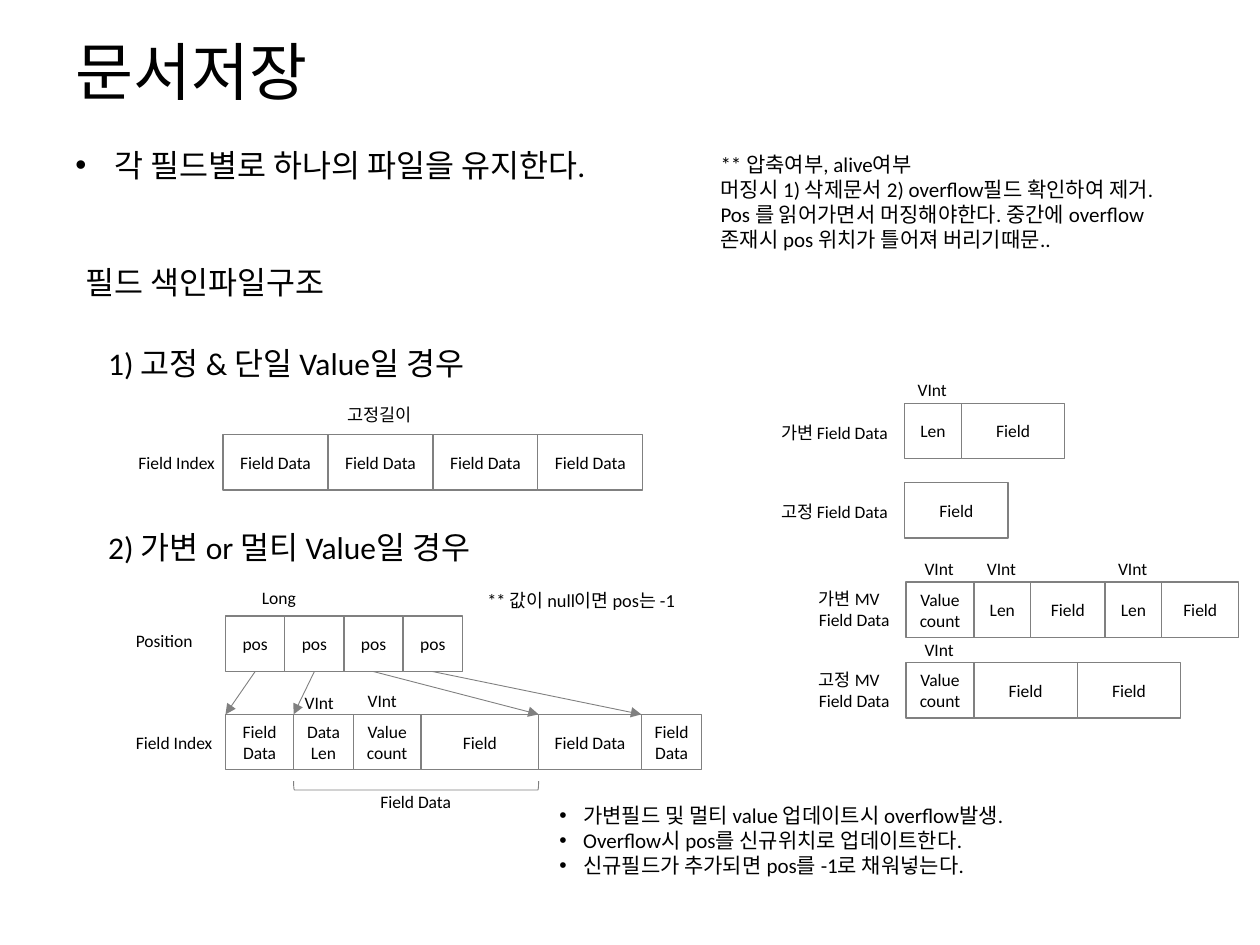
from itertools import accumulate

from lxml import etree
from pptx import Presentation
from pptx.dml.color import RGBColor
from pptx.enum.shapes import MSO_CONNECTOR, MSO_SHAPE
from pptx.enum.text import MSO_ANCHOR, MSO_AUTO_SIZE, PP_ALIGN
from pptx.oxml.ns import qn
from pptx.util import Inches, Pt

RECTANGLE, BRACKET = MSO_SHAPE.RECTANGLE, MSO_SHAPE.RIGHT_BRACKET
STRAIGHT = MSO_CONNECTOR.STRAIGHT
MIDDLE, LEFT, CENTER = MSO_ANCHOR.MIDDLE, PP_ALIGN.LEFT, PP_ALIGN.CENTER
GROW = MSO_AUTO_SIZE.SHAPE_TO_FIT_TEXT
FONT, BLACK, WHITE, GRAY = "Calibri", "000000", "FFFFFF", "808080"
COLUMNS, ROWS = 100, 75
CELL_HEIGHT, LABEL_HEIGHT = 4.4, 2.7


def color(value):
    """Turn a hex string into a colour."""
    return RGBColor.from_string(value)


def grid(*cells):
    """Turn grid columns or rows, a tenth of an inch each, into lengths."""
    return [Inches(cell / 10) for cell in cells]


def write(frame, lines, size, align=LEFT, indent=0):
    """Fill a frame with one paragraph a line; an indent brings bullets."""
    for number, line in enumerate(lines):
        para = frame.add_paragraph() if number else frame.paragraphs[0]
        para.text = line
        para.alignment = align
        para.font.name, para.font.size = FONT, Pt(size)
        para.font.color.rgb = color(BLACK)
        if indent:
            properties = para._p.get_or_add_pPr()
            properties.set("marL", str(Inches(indent)))
            properties.set("indent", str(-Inches(indent)))
            etree.SubElement(properties, qn("a:buFont")).set("typeface", "Arial")
            etree.SubElement(properties, qn("a:buChar")).set("char", "•")


def text(page, box, lines, size=10, wrap=False, indent=0):
    """Place a text box that grows with its lines."""
    frame = page.shapes.add_textbox(*grid(*box)).text_frame
    frame.word_wrap = wrap
    frame.auto_size = GROW
    write(frame, lines, size, indent=indent)
    return frame


def label(page, left, top, words, width=8):
    """Place a small one-line label."""
    text(page, (left, top, width, LABEL_HEIGHT), [words])


def cell_row(page, left, top, cells):
    """Draw touching cells of (words, width) and return their edges."""
    edges = list(accumulate((width for _, width in cells), initial=left))
    for edge, (words, width) in zip(edges, cells):
        cell = page.shapes.add_shape(RECTANGLE, *grid(edge, top, width, CELL_HEIGHT))
        cell.shadow.inherit = False
        cell.fill.solid()
        cell.fill.fore_color.rgb = color(WHITE)
        cell.line.color.rgb, cell.line.width = color(GRAY), Pt(0.75)
        frame = cell.text_frame
        frame.word_wrap, frame.vertical_anchor = True, MIDDLE
        frame.margin_left = frame.margin_right = Inches(0.02)
        write(frame, words.split("\n"), 10, CENTER)
    return edges


def arrow(page, start, end):
    """Draw a thin arrow between two grid points."""
    line = page.shapes.add_connector(STRAIGHT, *grid(*start, *end))
    line.line.color.rgb, line.line.width = color(GRAY), Pt(0.5)
    etree.SubElement(line.line._get_or_add_ln(), qn("a:tailEnd")).set("type", "triangle")
    etree.SubElement(line._element.spPr, qn("a:effectLst"))


def span_bracket(page, left, right, top):
    """Draw a bracket that opens upward from left to right."""
    depth, length = 0.7, right - left
    box = ((left + right - depth) / 2, top + (depth - length) / 2, depth, length)
    bracket = page.shapes.add_shape(BRACKET, *grid(*box))
    bracket.rotation = 90
    bracket.shadow.inherit = False
    bracket.fill.background()
    bracket.line.color.rgb, bracket.line.width = color(GRAY), Pt(0.5)


def headings(page):
    """Place the title, the opening statement and the section name."""
    title = text(page, (5, 3, 90, 5.1), ["문서저장"], 36, wrap=True)
    title.auto_size = MSO_AUTO_SIZE.NONE
    title.vertical_anchor = MIDDLE
    text(page, (5, 11.1, 46, 4), ["각 필드별로 하나의 파일을 유지한다."], 18, indent=0.31)
    text(page, (5.8, 20.4, 22.8, 4), ["필드 색인파일구조"], 18)


def notes(page):
    """Place the merge remarks and the overflow rules."""
    text(page, (56.2, 11.5, 38.8, 9.1), [
        "** 압축여부, alive여부",
        "머징시 1) 삭제문서 2) overflow필드 확인하여 제거.",
        "Pos 를 읽어가면서 머징해야한다. 중간에 overflow존재시 pos 위치가 틀어져 버리기때문..",
    ], 12, wrap=True)
    text(page, (43.4, 63.2, 53.9, 7.1), [
        "가변필드 및 멀티 value 업데이트시 overflow발생.",
        "Overflow시 pos를 신규위치로 업데이트한다.",
        "신규필드가 추가되면 pos를 -1로 채워넣는다.",
    ], 12, wrap=True, indent=0.19)


def fixed_index(page, left, top):
    """Draw the index of fixed-length single values."""
    text(page, (left, top, 32, 4), ["1) 고정 & 단일 Value일 경우"], 18, wrap=True)
    label(page, left + 19, top + 4.8, "고정길이", 7.6)
    label(page, left + 2.4, top + 8.6, "Field Index", 8.2)
    cell_row(page, left + 10.1, top + 7.7, [("Field Data", 8.33)] * 4)


def variable_index(page, left, top):
    """Draw positions that point into variable or multiple values."""
    text(page, (left, top, 32.5, 4), ["2) 가변 or 멀티 Value일 경우"], 18, wrap=True)
    text(page, (left + 30.1, top + 4.9, 17.7, 2.8), ["** 값이 null이면 pos는 -1"], 10.5, wrap=True)
    position_top, field_top = top + 7.5, top + 15.3
    positions = cell_row(page, left + 10.3, position_top, [("pos", 4.7)] * 4)
    fields = cell_row(page, left + 10.3, field_top, [
        ("Field Data", 5.4), ("Data\nLen", 4.75), ("Value count", 5.35),
        ("Field", 9.35), ("Field Data", 8.15), ("Field Data", 4.8)])
    for column, row, words, width in (
            (12.2, 4.7, "Long", 4.8), (2.2, 8.1, "Position", 6.6),
            (2.2, 16.2, "Field Index", 8.2), (15.6, 13, "VInt", 4.4),
            (20.6, 12.9, "VInt", 4.4), (21.6, 20.9, "Field Data", 7.7)):
        label(page, left + column, top + row, words, width)
    for position, field in zip(positions, (0, 1, 4, 5)):
        arrow(page, (position + 2.35, position_top + CELL_HEIGHT), (fields[field], field_top))
    span_bracket(page, fields[1], fields[4], top + 20.6)


def record(page, left, top, name, cells, vint_cells=(), multiple=False):
    """Draw one record layout with its name and its VInt marks."""
    if multiple:
        text(page, (left - 7.9, top, 8.5, CELL_HEIGHT), [name], wrap=True)
    else:
        label(page, left - 10.8, top + 1, name, 10.8)
    edges = cell_row(page, left, top, cells)
    for index in vint_cells:
        middle = (edges[index] + edges[index + 1]) / 2
        label(page, middle - 2.2, top - 2.4, "VInt", 4.4)


def main():
    """Build the slide and save it."""
    deck = Presentation()
    deck.slide_width, deck.slide_height = grid(COLUMNS, ROWS)
    page = deck.slides.add_slide(deck.slide_layouts[6])
    headings(page)
    notes(page)
    fixed_index(page, 7.6, 26.8)
    variable_index(page, 7.6, 41.4)
    count, length, field = ("Value count", 5.4), ("Len", 4.5), ("Field", 8.2)
    record(page, 71.8, 32, "가변 Field Data", [length, field], [0])
    record(page, 71.8, 38.3, "고정 Field Data", [field])
    record(page, 71.9, 46.2, "가변 MV Field Data",
           [count, length, ("Field", 5.9), length, ("Field", 6.1)], [0, 1, 3], True)
    record(page, 71.9, 52.6, "고정 MV Field Data", [count, field, field], [0], True)
    deck.save("out.pptx")


main()
